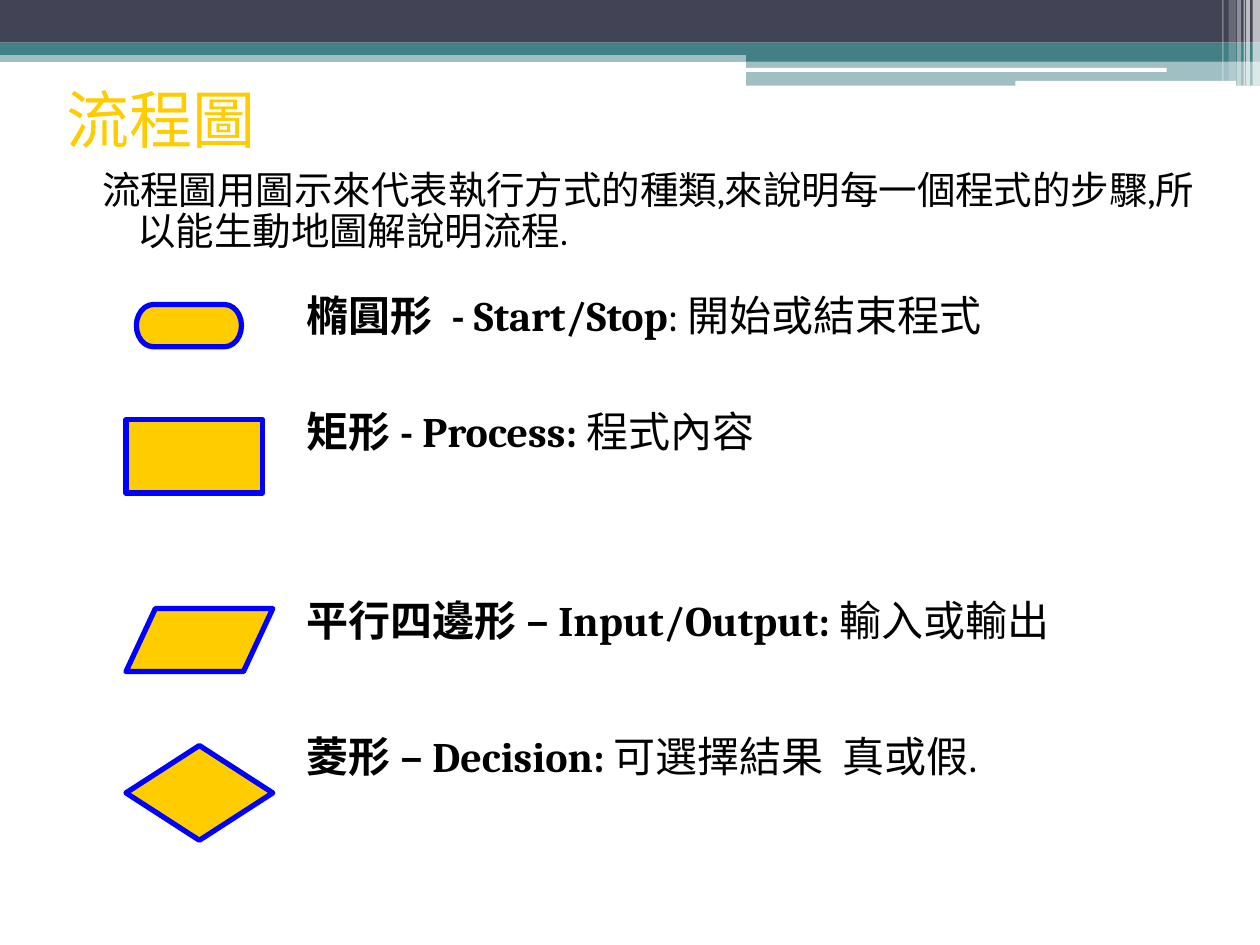
import pptx
import pptx.util
import pptx.dml.color
import pptx.enum.shapes
import pptx.enum.text
import pptx.oxml.ns
import lxml.etree

Cm = pptx.util.Cm
Pt = pptx.util.Pt
SHAPE = pptx.enum.shapes.MSO_SHAPE
ANCHOR = pptx.enum.text.MSO_ANCHOR
COLORS = {"navy": "424456", "teal": "438086", "white": "FFFFFF",
          "gold": "FFCC00", "blue": "0000FF", "black": "000000"}


def rgb(name):
    """Return the named colour."""
    return pptx.dml.color.RGBColor.from_string(COLORS[name])


def add_shape(s, kind, box, fill, alpha=100, line=None):
    """Add a flat shape, with optional opacity and outline."""
    sp = s.shapes.add_shape(kind, *map(Cm, box))
    sp.shadow.inherit = False
    sp.fill.solid()
    sp.fill.fore_color.rgb = rgb(fill)
    if alpha < 100:
        clr = sp.fill._xPr.find(".//" + pptx.oxml.ns.qn("a:srgbClr"))
        lxml.etree.SubElement(clr, pptx.oxml.ns.qn("a:alpha"), val=str(alpha * 1000))
    if line:
        sp.line.color.rgb = rgb(line)
        sp.line.width = Pt(3)
    else:
        sp.line.fill.background()
    return sp


def add_text(s, box, text, size=24, font="Cambria", color="black", lead="",
             anchor=ANCHOR.TOP, spacing=None, indent=None):
    """Add a one-paragraph text box with an optional bold lead."""
    tf = s.shapes.add_textbox(*map(Cm, box)).text_frame
    tf.word_wrap = True
    tf.vertical_anchor = anchor
    p = tf.paragraphs[0]
    if spacing:
        p.line_spacing = spacing
    if indent:
        left, first = indent
        pPr = p._p.get_or_add_pPr()
        pPr.set("marL", str(Cm(left)))
        pPr.set("indent", str(Cm(first)))
    for part, bold in ((lead, True), (text, False)):
        if part:
            r = p.add_run()
            r.text = part
            r.font.name = font
            r.font.size = Pt(size)
            r.font.bold = bold
            r.font.color.rgb = rgb(color)


def add_banner(s, x, y, w):
    """Draw the layered bands and the fading stripes at the right end."""
    bands = [(0, 1.02, w, 0.23, "teal", 50), (0, 0, w, 0.86, "navy", 100),
             (0, 0.86, w, 0.25, "teal", 100),
             (15.04, 0.99, w - 15.04, 0.25, "teal", 100),
             (15.04, 1.22, w - 15.04, 0.51, "teal", 50)]
    for left, top, width, height, fill, alpha in bands:
        add_shape(s, SHAPE.RECTANGLE, (x + left, y + top, width, height), fill, alpha)
    for left, top, width, height in [(15.01, 1.37, 8.51, 0.08), (20.47, 1.63, 4.45, 0.1)]:
        add_shape(s, SHAPE.ROUNDED_RECTANGLE, (x + left, y + top, width, height), "white")
    stripes = [(25.25, 0.15, 1.73, 65), (25.12, 0.08, 1.73, 65), (25.07, 0.03, 1.73, 60),
               (24.94, 0.08, 1.73, 40), (24.77, 0.15, 1.63, 20), (24.64, 0.03, 1.63, 30)]
    for left, width, height, alpha in stripes:
        add_shape(s, SHAPE.RECTANGLE, (x + left, y, width, height), "white", alpha)


def add_heading(s, x, y, w):
    """Place the title and the introduction below it."""
    add_text(s, (x, y, w, 1.75), "流程圖", size=36, font="Roboto", color="gold",
             anchor=ANCHOR.MIDDLE)
    add_text(s, (x + 0.41, y + 1.8, w, 2.01),
             "流程圖用圖示來代表執行方式的種類,來說明每一個程式的步驟,所以能生動地圖解說明流程.",
             size=22, spacing=0.9, indent=(1.02, -0.71))


def add_symbol(s, x, y, w, kind, offset, size, lead, text):
    """Place one flowchart symbol and its explanation."""
    add_shape(s, kind, (x + offset, y + 0.42, *size), "gold", line="blue")
    add_text(s, (x + 3.39, y, w - 3.39, 1.27), text, lead=lead)


def main():
    """Build the slide."""
    prs = pptx.Presentation()
    prs.slide_width, prs.slide_height = Cm(25.4), Cm(19.05)
    s = prs.slides.add_slide(prs.slide_layouts[6])
    add_banner(s, 0, 0, 25.4)
    add_heading(s, 1.09, 1.52, 22.86)
    symbols = [
        (5.72, SHAPE.FLOWCHART_TERMINATOR, 0.21, (2.12, 0.85),
         "橢圓形  - Start/Stop", ": 開始或結束程式"),
        (8.04, SHAPE.FLOWCHART_PROCESS, 0, (2.75, 1.48), "矩形 - Process: ", "程式內容"),
        (11.85, SHAPE.FLOWCHART_DATA, 0, (2.96, 1.27),
         "平行四邊形 – Input/Output: ", "輸入或輸出"),
        (14.61, SHAPE.FLOWCHART_DECISION, 0, (2.96, 1.91),
         "菱形 – Decision: ", "可選擇結果  真或假."),
    ]
    for y, *symbol in symbols:
        add_symbol(s, 2.54, y, 21.81, *symbol)
    prs.save("out.pptx")


if __name__ == "__main__":
    main()
